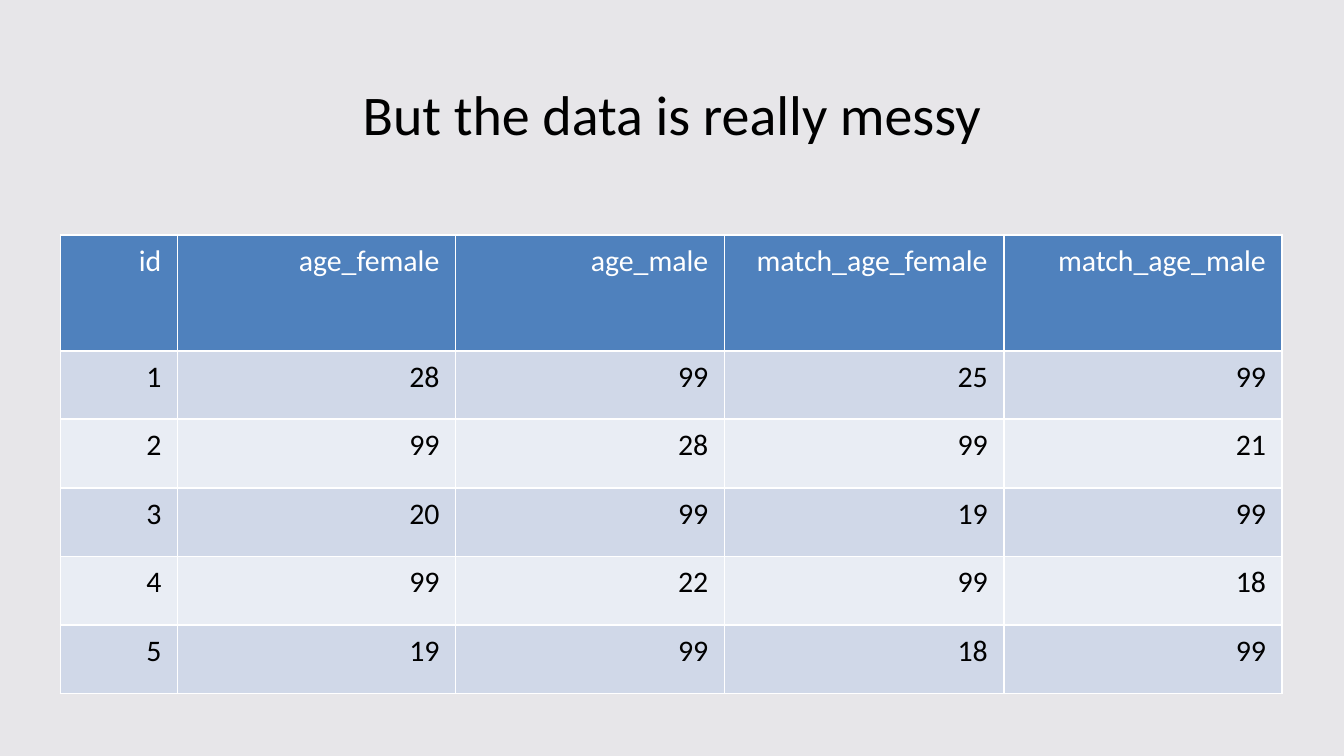
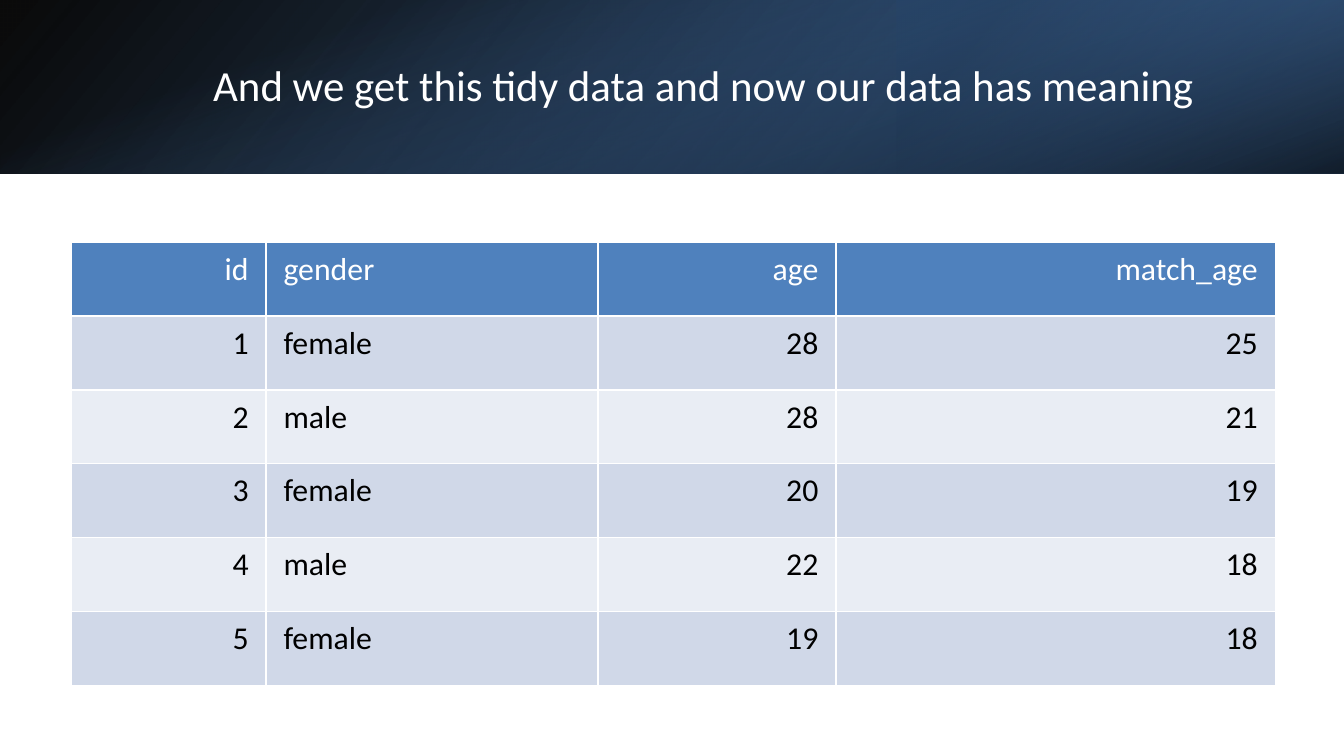
"""Build two slides that show one data set before and after tidying."""
from lxml import etree
from pptx import Presentation
from pptx.dml.color import RGBColor
from pptx.enum.shapes import MSO_SHAPE
from pptx.enum.text import MSO_ANCHOR, MSO_AUTO_SIZE, PP_ALIGN
from pptx.oxml.ns import qn
from pptx.util import Inches, Pt

RECT = MSO_SHAPE.RECTANGLE
MIDDLE = MSO_ANCHOR.MIDDLE
NO_FIT = MSO_AUTO_SIZE.NONE
LEFT, CENTER, RIGHT = PP_ALIGN.LEFT, PP_ALIGN.CENTER, PP_ALIGN.RIGHT

FONT = "Calibri"
WIDE, BAND = 10, 1.29
HIGH = WIDE * 9 / 16
COLOR = {
    "black": "000000", "white": "FFFFFF", "grey": "F2F2F2", "purple": "604A7B",
    "head": "4F81BD", "odd": "D0D8E8", "even": "E9EDF4",
    "navy": "254061", "blue": "376092",
}

MESSY = {
    "title": "But the data is really messy",
    "box": (0.45, 0.3, 9.1, 1.09), "size": 30, "color": "black", "space": 1,
    "at": (0.45, 1.75), "cols": (0.87, 2.07, 2, 2.08, 2.07),
    "tall": (0.86, 0.51), "text": 16, "inset": 0.12,
    "rows": [
        ("id", "age_female", "age_male", "match_age_female", "match_age_male"),
        (1, 28, 99, 25, 99),
        (2, 99, 28, 99, 21),
        (3, 20, 99, 19, 99),
        (4, 99, 22, 99, 18),
        (5, 19, 99, 18, 99),
    ],
}
TIDY = {
    "title": "And we get this tidy data and now our data has meaning",
    "box": (1.12, 0.29, 8.24, 0.72), "size": 23, "color": "white", "space": 0.9,
    "at": (0.53, 1.8), "cols": (1.45, 2.47, 1.77, 3.27),
    "tall": (0.55, 0.55), "text": 17, "inset": 0.13,
    "rows": [
        ("id", "gender", "age", "match_age"),
        (1, "female", 28, 25),
        (2, "male", 28, 21),
        (3, "female", 20, 19),
        (4, "male", 22, 18),
        (5, "female", 19, 18),
    ],
}
BACKS = [("grey", 100), ("purple", 7)]
FADES = [
    {"box": (0, 0, WIDE, BAND), "turn": 0, "flip": True, "angle": 140,
     "stops": [(0, "black", 96), (100, "blue", 100)]},
    {"box": (6.67, 0, 3.33, BAND), "turn": 180, "flip": True, "angle": 320,
     "stops": [(19, "navy", 68), (100, "head", 79)]},
    {"box": ((WIDE - BAND) / 2, (BAND - WIDE) / 2, BAND, WIDE), "turn": 90,
     "flip": False, "angle": 340,
     "stops": [(23, "head", 0), (99, "black", 74)]},
]


def rgb(name):
    return RGBColor.from_string(COLOR[name])


def add(root, tag, **attrs):
    node = etree.SubElement(root, qn(tag))
    for key, value in attrs.items():
        node.set(key, str(value))
    return node


def add_color(root, name, alpha=100):
    node = add(root, "a:srgbClr", val=COLOR[name])
    if alpha < 100:
        add(node, "a:alpha", val=alpha * 1000)


def add_rect(shapes, box):
    rect = shapes.add_shape(RECT, *map(Inches, box))
    rect.shadow.inherit = False
    rect.line.fill.background()
    return rect


def add_back(slide):
    group = slide.shapes.add_group_shape()
    for name, alpha in BACKS:
        rect = add_rect(group.shapes, (0, 0, WIDE, HIGH))
        rect.fill.solid()
        rect.fill.fore_color.rgb = rgb(name)
        if alpha < 100:
            tint = rect._element.spPr.find(".//" + qn("a:srgbClr"))
            add(tint, "a:alpha", val=alpha * 1000)


def add_fades(slide):
    for fade in FADES:
        rect = add_rect(slide.shapes, fade["box"])
        rect.rotation = fade["turn"]
        props = rect._element.spPr
        if fade["flip"]:
            props.find(qn("a:xfrm")).set("flipH", "1")
        grad = add(props, "a:gradFill", rotWithShape=1)
        stops = add(grad, "a:gsLst")
        for place, name, alpha in fade["stops"]:
            add_color(add(stops, "a:gs", pos=place * 1000), name, alpha)
        add(grad, "a:lin", ang=fade["angle"] * 60000, scaled=0)
        props.find(qn("a:prstGeom")).addnext(grad)


def write(para, text, size, color, align):
    para.alignment = align
    run = para.add_run()
    run.text = text
    run.font.name = FONT
    run.font.size = Pt(size)
    run.font.bold = False
    run.font.color.rgb = rgb(color)


def add_title(slide, data):
    title = slide.shapes.title
    title.left, title.top, title.width, title.height = map(Inches, data["box"])
    frame = title.text_frame
    frame.word_wrap = True
    frame.auto_size = NO_FIT
    frame.vertical_anchor = MIDDLE
    para = frame.paragraphs[0]
    para.line_spacing = data["space"]
    write(para, data["title"], data["size"], data["color"], CENTER)
    slide.shapes._spTree.append(title._element)


def add_edges(cell):
    props = cell._tc.get_or_add_tcPr()
    for side in "LRTB":
        line = add(props, "a:ln" + side, w=Pt(1))
        add_color(add(line, "a:solidFill"), "white")


def add_grid(slide, data):
    rows, cols = data["rows"], data["cols"]
    first, rest = data["tall"]
    talls = [first] + [rest] * (len(rows) - 1)
    size = map(Inches, (*data["at"], sum(cols), sum(talls)))
    grid = slide.shapes.add_table(len(rows), len(cols), *size).table
    for col, width in zip(grid.columns, cols):
        col.width = Inches(width)
    for i, (row, tall) in enumerate(zip(rows, talls)):
        grid.rows[i].height = Inches(tall)
        fill = "head" if i == 0 else "odd" if i % 2 else "even"
        for j, value in enumerate(row):
            cell = grid.cell(i, j)
            cell.margin_left = cell.margin_right = Inches(data["inset"])
            cell.margin_top = cell.margin_bottom = Inches(0.06)
            add_edges(cell)
            cell.fill.solid()
            cell.fill.fore_color.rgb = rgb(fill)
            align = LEFT if isinstance(rows[1][j], str) else RIGHT
            color = "black" if i else "white"
            write(cell.text_frame.paragraphs[0], str(value), data["text"],
                  color, align)


def main():
    deck = Presentation()
    deck.slide_width, deck.slide_height = Inches(WIDE), Inches(HIGH)
    for data, scene in ((MESSY, add_back), (TIDY, add_fades)):
        slide = deck.slides.add_slide(deck.slide_layouts[5])
        scene(slide)
        add_title(slide, data)
        add_grid(slide, data)
    deck.save("out.pptx")


if __name__ == "__main__":
    main()
